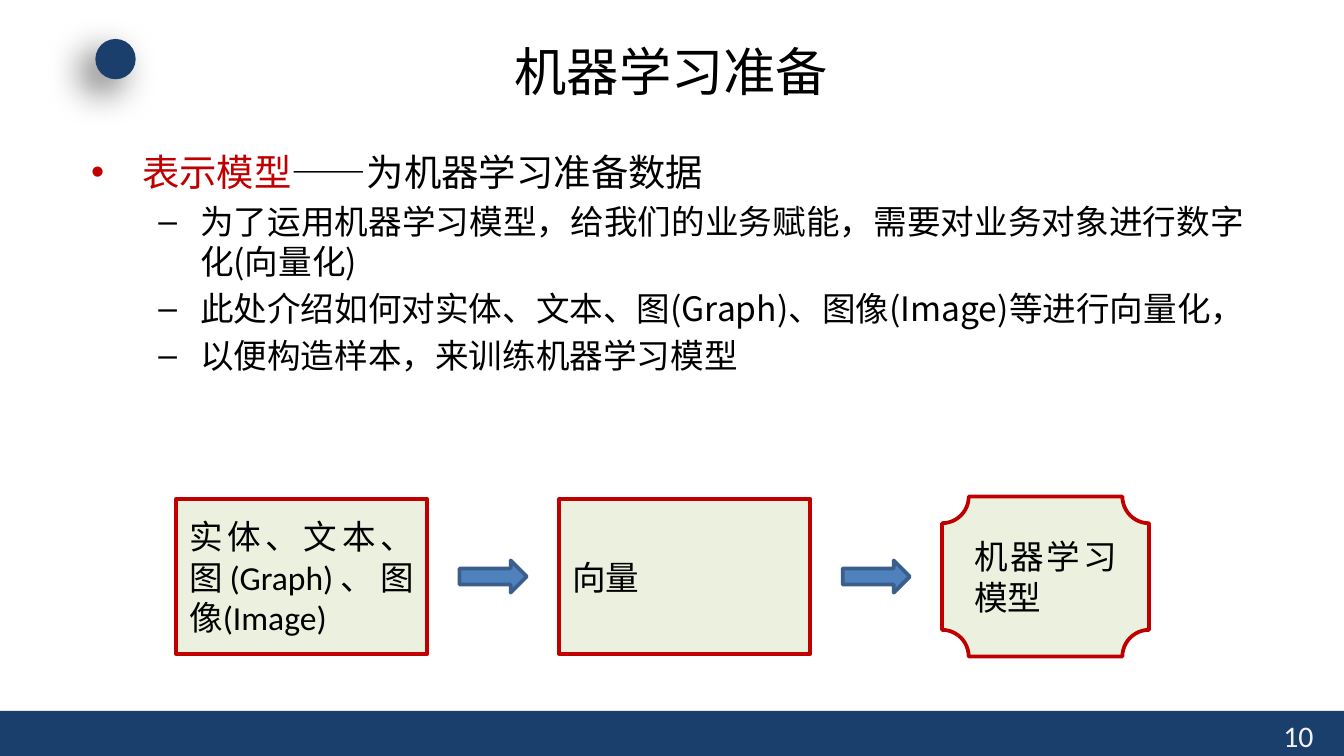
from lxml import etree
from pptx import Presentation
from pptx.dml.color import RGBColor
from pptx.enum.shapes import MSO_SHAPE
from pptx.enum.text import MSO_ANCHOR, PP_ALIGN
from pptx.oxml import parse_xml
from pptx.oxml.ns import qn
from pptx.util import Inches, Pt

RECT, OVAL = MSO_SHAPE.RECTANGLE, MSO_SHAPE.OVAL
PLAQUE, ARROW = MSO_SHAPE.PLAQUE, MSO_SHAPE.RIGHT_ARROW
MIDDLE, TOP = MSO_ANCHOR.MIDDLE, MSO_ANCHOR.TOP
LEFT, CENTER, JUSTIFY = PP_ALIGN.LEFT, PP_ALIGN.CENTER, PP_ALIGN.JUSTIFY

NAVY = RGBColor(0x1A, 0x3F, 0x6C)
RED = RGBColor(0xC0, 0x00, 0x00)
GREEN = RGBColor(0xEB, 0xF1, 0xDE)
BLUE = RGBColor(0x4F, 0x81, 0xBD)
EDGE = RGBColor(0x3A, 0x5F, 0x8C)
BLACK = RGBColor(0, 0, 0)
PALE = RGBColor(0xF2, 0xF2, 0xF2)
SANS, LATIN = "Noto Sans CJK SC", "Calibri"

# Content
TITLE = "机器学习准备"
PAGE = "10"
HEAD = [("表示模型", RED), ("——为机器学习准备数据", BLACK)]
POINTS = [
    "为了运用机器学习模型，给我们的业务赋能，需要对业务对象进行数字化(向量化)",
    "此处介绍如何对实体、文本、图(Graph)、图像(Image)等进行向量化，",
    "以便构造样本，来训练机器学习模型",
]
STEPS = [  # text, shape, width, height
    ("实体、文本、图(Graph)、图像(Image)", RECT, 1.87, 1.15),
    ("向量", RECT, 1.87, 1.15),
    ("机器学习模型", PLAQUE, 1.54, 1.19),
]
START, PITCH, MID = 1.31, 2.85, 4.29
ARROW_W, ARROW_H = 0.5, 0.24

# 16:9 slide
deck = Presentation()
deck.slide_width = Inches(10)
deck.slide_height = Inches(10 * 9 / 16)
slide = deck.slides.add_slide(deck.slide_layouts[6])


def add_run(para, text, size, color, font=SANS):
    run = para.add_run()
    run.text = text
    run.font.size = Pt(size)
    run.font.color.rgb = color
    run.font.name = font
    east = etree.SubElement(run.font._element, qn("a:ea"))
    east.set("typeface", SANS)


def add_box(x, y, w, h, anchor=TOP):
    box = slide.shapes.add_textbox(Inches(x), Inches(y), Inches(w), Inches(h))
    box.text_frame.word_wrap = True
    box.text_frame.vertical_anchor = anchor
    return box.text_frame


def add_shape(kind, x, y, w, h, fill, line=None):
    shape = slide.shapes.add_shape(kind, Inches(x), Inches(y), Inches(w), Inches(h))
    shape.shadow.inherit = False
    shape.fill.solid()
    shape.fill.fore_color.rgb = fill
    if line is None:
        shape.line.fill.background()
    else:
        shape.line.color.rgb = line
        shape.line.width = Pt(2)
    return shape


def set_bullet(para, mark, left, hang, level=0):
    para.level = level
    props = para._p.get_or_add_pPr()
    props.set("marL", str(Inches(left)))
    props.set("indent", str(-Inches(hang)))
    etree.SubElement(props, qn("a:buFont")).set("typeface", "Arial")
    etree.SubElement(props, qn("a:buChar")).set("char", mark)


# Footer band, page number and corner dot
add_shape(RECT, 0, 5.29, 10, 0.34, NAVY)
add_run(add_box(9.45, 5.29, 0.5, 0.3).paragraphs[0], PAGE, 16, PALE, LATIN)
dot = add_shape(OVAL, 0.71, 0.29, 0.3, 0.3, NAVY)
glow = dot._element.spPr.find(qn("a:effectLst"))
glow.append(parse_xml(
    '<a:outerShdw xmlns:a="http://schemas.openxmlformats.org/drawingml/2006/main" '
    f'blurRad="{Pt(20)}" dist="{Pt(10)}" dir="8100000" algn="tr" rotWithShape="0">'
    '<a:srgbClr val="000000"><a:alpha val="60000"/></a:srgbClr></a:outerShdw>'))

# Title
para = add_box(1.62, 0.23, 6.75, 0.59, MIDDLE).paragraphs[0]
para.alignment = CENTER
add_run(para, TITLE, 28, BLACK)

# Bullets
body = add_box(0.58, 1.06, 8.78, 4.12)
para = body.paragraphs[0]
para.alignment = LEFT
set_bullet(para, "•", 0.38, 0.38)
for text, color in HEAD:
    add_run(para, text, 20, color)
for text in POINTS:
    para = body.add_paragraph()
    para.alignment = JUSTIFY
    set_bullet(para, "–", 0.81, 0.31, 1)
    para.space_before = Pt(3.6)
    add_run(para, text, 18, BLACK)

# Flow: steps at an equal pitch, each arrow centred in the gap after a box
for i, (text, kind, w, h) in enumerate(STEPS):
    x = START + i * PITCH
    step = add_shape(kind, x, MID - h / 2, w, h, GREEN, RED)
    frame = step.text_frame
    frame.word_wrap = True
    frame.vertical_anchor = MIDDLE
    para = frame.paragraphs[0]
    para.alignment = JUSTIFY
    add_run(para, text, 18, BLACK, LATIN)
    if i < len(STEPS) - 1:
        gap = PITCH - w
        add_shape(ARROW, x + w + (gap - ARROW_W) / 2, MID - ARROW_H / 2,
                  ARROW_W, ARROW_H, BLUE, EDGE)

deck.save("out.pptx")
